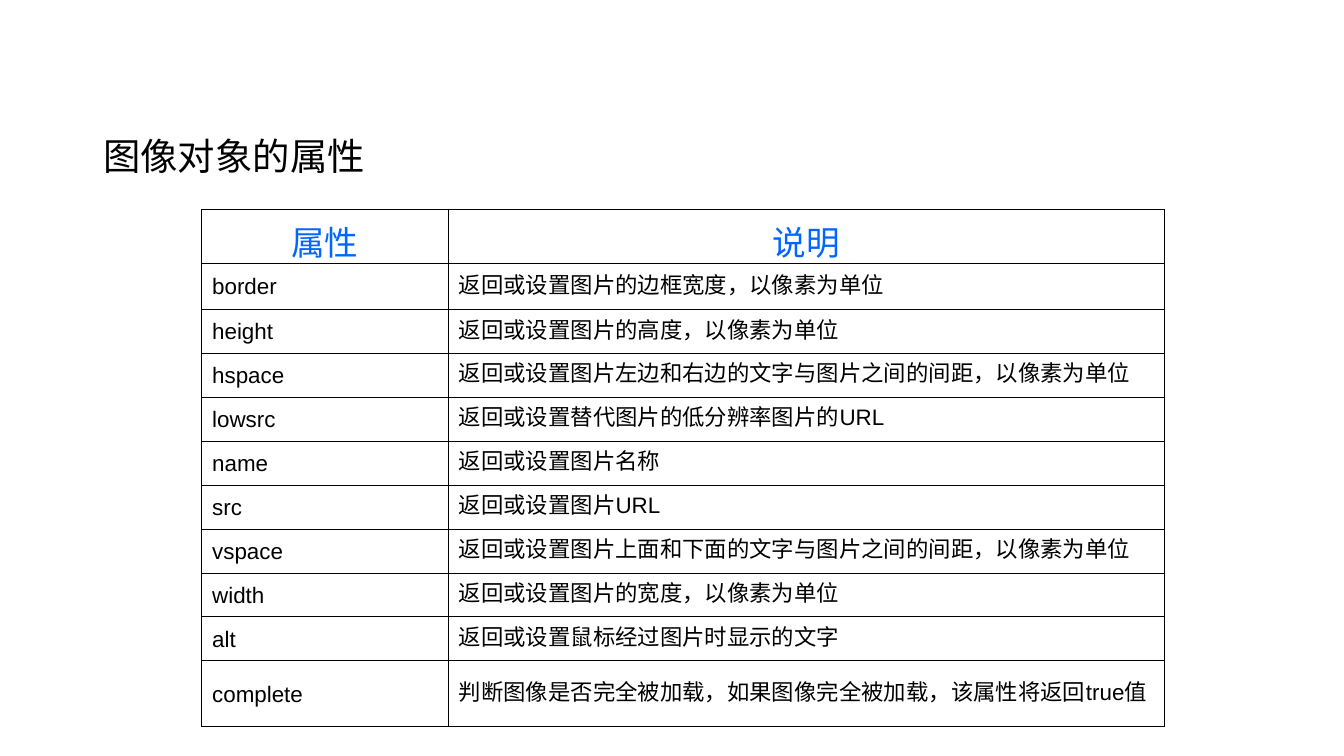
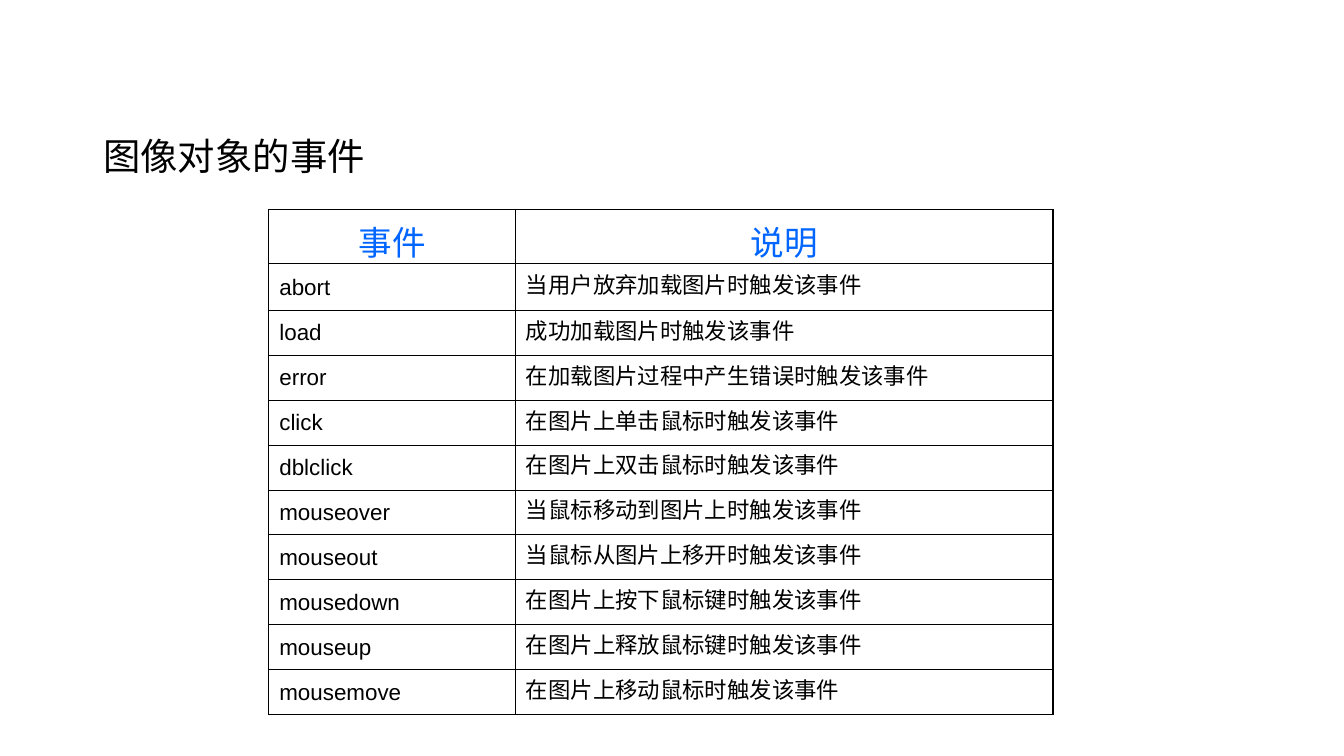
from lxml import etree
from pptx import Presentation
from pptx.dml.color import RGBColor
from pptx.enum.text import MSO_ANCHOR, PP_ALIGN
from pptx.oxml.ns import qn
from pptx.util import Cm, Pt

MIDDLE = MSO_ANCHOR.MIDDLE
CENTER, JUSTIFY = PP_ALIGN.CENTER, PP_ALIGN.JUSTIFY

COLORS = {"text": "000000", "header": "0066FF", "border": "000000"}
TITLE_FONT, TABLE_FONT = "Times New Roman", "Arial"
TITLE_BOX = (1.7, 2.39, 9.09, 1.12)
TABLE_TOP = 3.96
NAME_WIDTH, HEADER_HEIGHT = 4.66, 1.02
OUTER_LINE, INNER_LINE = Pt(0.75), Pt(0.45)

PROPERTIES = [
    ("属性", "说明"),
    ("border", "返回或设置图片的边框宽度，以像素为单位"),
    ("height", "返回或设置图片的高度，以像素为单位"),
    ("hspace", "返回或设置图片左边和右边的文字与图片之间的间距，以像素为单位"),
    ("lowsrc", "返回或设置替代图片的低分辨率图片的URL"),
    ("name", "返回或设置图片名称"),
    ("src", "返回或设置图片URL"),
    ("vspace", "返回或设置图片上面和下面的文字与图片之间的间距，以像素为单位"),
    ("width", "返回或设置图片的宽度，以像素为单位"),
    ("alt", "返回或设置鼠标经过图片时显示的文字"),
    ("complete", "判断图像是否完全被加载，如果图像完全被加载，该属性将返回true值"),
]

EVENTS = [
    ("事件", "说明"),
    ("abort", "当用户放弃加载图片时触发该事件"),
    ("load", "成功加载图片时触发该事件"),
    ("error", "在加载图片过程中产生错误时触发该事件"),
    ("click", "在图片上单击鼠标时触发该事件"),
    ("dblclick", "在图片上双击鼠标时触发该事件"),
    ("mouseover", "当鼠标移动到图片上时触发该事件"),
    ("mouseout", "当鼠标从图片上移开时触发该事件"),
    ("mousedown", "在图片上按下鼠标键时触发该事件"),
    ("mouseup", "在图片上释放鼠标键时触发该事件"),
    ("mousemove", "在图片上移动鼠标时触发该事件"),
]


def set_font(p, name, size, color):
    p.font.name = name
    p.font.size = Pt(size)
    p.font.color.rgb = RGBColor.from_string(COLORS[color])


def add_title(s, box, text):
    tf = s.shapes.add_textbox(*map(Cm, box)).text_frame
    tf.word_wrap = True
    p = tf.paragraphs[0]
    p.text = text
    set_font(p, TITLE_FONT, 20, "text")


def set_borders(cell, outer_sides):
    """Draw all four borders, heavier on the sides at the table's edge."""
    tc_pr = cell._tc.get_or_add_tcPr()
    for side in "LRTB":
        width = OUTER_LINE if side in outer_sides else INNER_LINE
        ln = etree.SubElement(tc_pr, qn(f"a:ln{side}"), w=str(width))
        fill = etree.SubElement(ln, qn("a:solidFill"))
        etree.SubElement(fill, qn("a:srgbClr"), val=COLORS["border"])


def fill_cell(cell, text, is_header):
    cell.vertical_anchor = MIDDLE
    p = cell.text_frame.paragraphs[0]
    p.text = text
    if is_header:
        p.alignment = CENTER
        set_font(p, TABLE_FONT, 18, "header")
    else:
        cell.margin_left = cell.margin_right = Cm(0.2)
        p.alignment = JUSTIFY
        p.line_spacing = Pt(14)
        p.space_after = Pt(1.2)
        set_font(p, TABLE_FONT, 12, "text")


def add_reference_table(s, box, rows, body_heights):
    left, top, width = box
    heights = [HEADER_HEIGHT, *body_heights]
    table = s.shapes.add_table(len(rows), 2, Cm(left), Cm(top),
                               Cm(width), Cm(sum(heights))).table
    table.first_row = table.horz_banding = False
    table.columns[0].width = Cm(NAME_WIDTH)
    table.columns[1].width = Cm(width - NAME_WIDTH)
    last = len(rows) - 1
    for i, (row, height) in enumerate(zip(rows, heights)):
        table.rows[i].height = Cm(height)
        edge = {0: "T", last: "B"}.get(i, "")
        for j, text in enumerate(row):
            cell = table.cell(i, j)
            set_borders(cell, edge + "LR"[j])
            cell.fill.background()
            fill_cell(cell, text, is_header=i == 0)


def add_reference_slide(prs, title, rows, left, width, body_heights):
    s = prs.slides.add_slide(prs.slide_layouts[6])
    add_title(s, TITLE_BOX, title)
    add_reference_table(s, (left, TABLE_TOP, width), rows, body_heights)


def main():
    prs = Presentation()
    prs.slide_width, prs.slide_height = Cm(25.4), Cm(14.29)
    add_reference_slide(prs, "图像对象的属性", PROPERTIES, 3.81, 18.2,
                        [0.87] + [0.83] * 8 + [1])
    add_reference_slide(prs, "图像对象的事件", EVENTS, 5.08, 14.82,
                        [0.88] + [0.85] * 9)
    prs.save("out.pptx")


if __name__ == "__main__":
    main()
